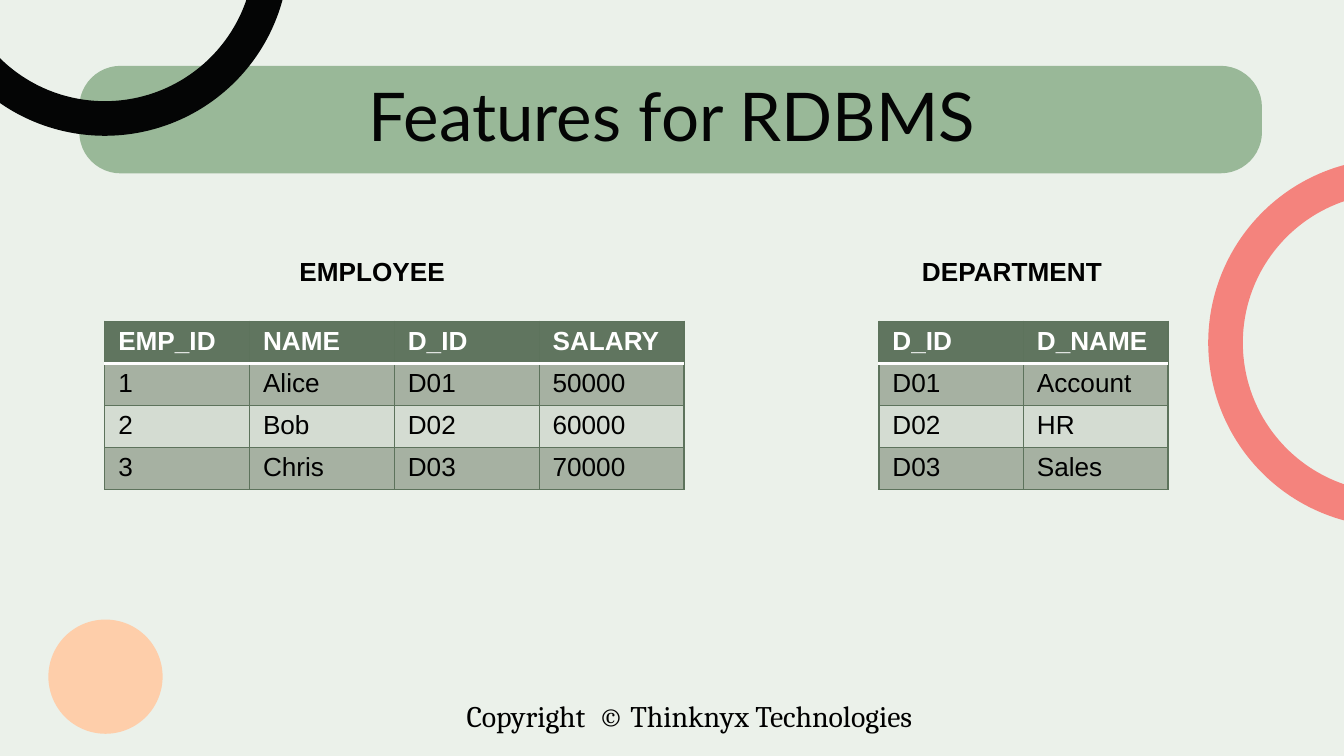
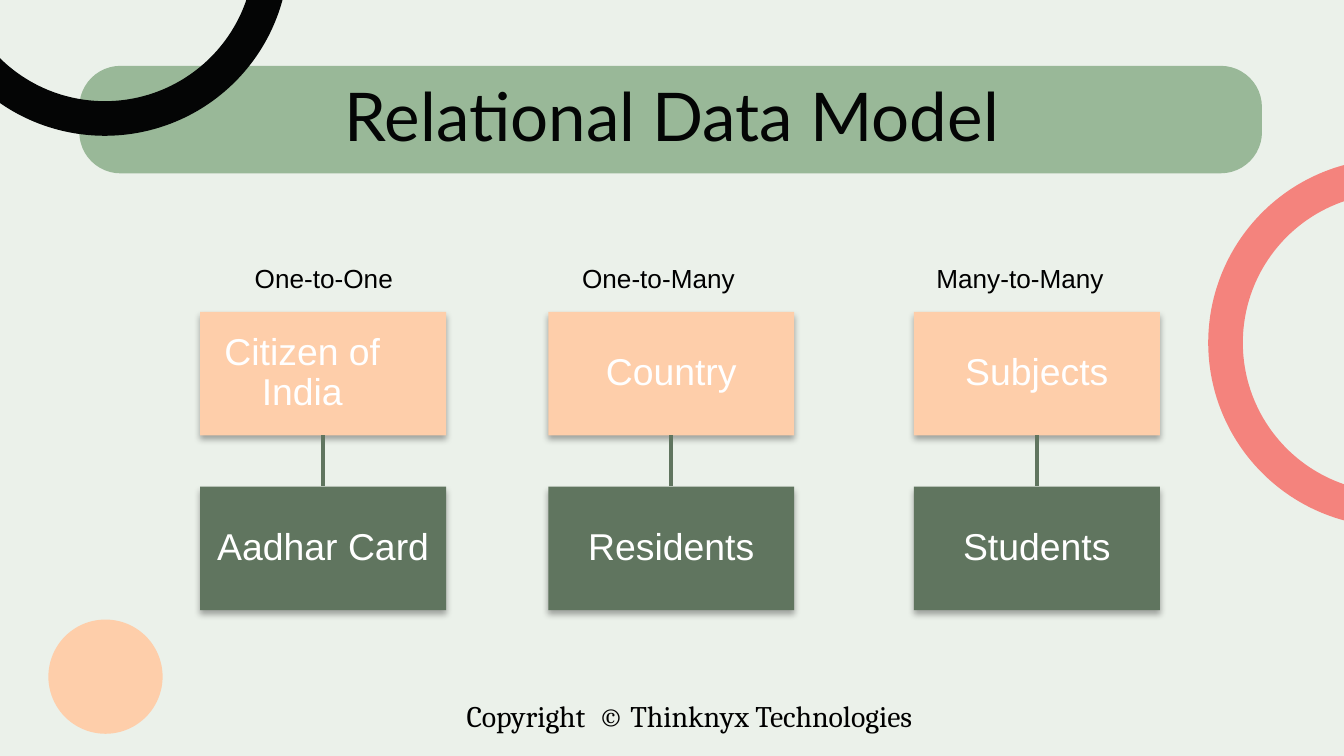
from lxml.etree import SubElement
from pptx import Presentation
from pptx.dml.color import RGBColor
from pptx.enum.shapes import MSO_CONNECTOR, MSO_SHAPE
from pptx.enum.text import MSO_ANCHOR, MSO_AUTO_SIZE, PP_ALIGN
from pptx.oxml import parse_xml
from pptx.oxml.ns import nsdecls, qn
from pptx.util import Inches, Pt

COLORS = {
    "background": "EBF1EA",
    "band": "99B898",
    "peach": "FECEAA",
    "coral": "F4837D",
    "ink": "040505",
    "black": "000000",
    "white": "FFFFFF",
    "green": "60755F",
    "border": "5D735C",
    "row_dark": "A6B1A2",
    "row_light": "D4DCD2",
}

COPYRIGHT = "Copyright  © Thinknyx Technologies"

TABLES = [
    {
        "caption": "EMPLOYEE", "caption_left": 1.44, "left": 0.78, "width": 4.31,
        "rows": [
            ("EMP_ID", "NAME", "D_ID", "SALARY"),
            ("1", "Alice", "D01", "50000"),
            ("2", "Bob", "D02", "60000"),
            ("3", "Chris", "D03", "70000"),
        ],
    },
    {
        "caption": "DEPARTMENT", "caption_left": 6.2, "left": 6.54, "width": 2.15,
        "rows": [
            ("D_ID", "D_NAME"),
            ("D01", "Account"),
            ("D02", "HR"),
            ("D03", "Sales"),
        ],
    },
]

RELATIONS = [
    {"caption": "One-to-One", "caption_left": 1.61, "left": 1.49,
     "entities": ("Citizen of India", "Aadhar Card"), "right_insets": (0.32, 0.01)},
    {"caption": "One-to-Many", "caption_left": 4.1, "left": 4.08,
     "entities": ("Country", "Residents"), "right_insets": (0.01, 0.01)},
    {"caption": "Many-to-Many", "caption_left": 6.79, "left": 6.8,
     "entities": ("Subjects", "Students"), "right_insets": (0.01, 0.01)},
]

TABLE_TOP, TABLE_HEIGHT = 2.39, 1.33
HEADER_HEIGHT, ROW_HEIGHT = 0.26, 0.27
ENTITY_WIDTH, ENTITY_HEIGHT = 1.83, 0.92
ENTITY_TOP, ENTITY_STEP = 2.32, 1.3
RING_SIZE = 2.74


def rgb(color):
    return RGBColor.from_string(COLORS[color])


def style(paragraph, size, color, font="Arial", bold=False):
    for run in paragraph.runs:
        run.font.name = font
        run.font.size = Pt(size)
        run.font.bold = bold
        run.font.color.rgb = rgb(color)


def add_shape(slide, preset, left, top, width, height, color):
    shape = slide.shapes.add_shape(
        preset, Inches(left), Inches(top), Inches(width), Inches(height))
    shape.shadow.inherit = False
    shape.fill.solid()
    shape.fill.fore_color.rgb = rgb(color)
    shape.line.fill.background()
    return shape


def add_label(slide, text, left, top, width, height, size=14,
              font="Arial", bold=False, wrap=True):
    label = slide.shapes.add_textbox(
        Inches(left), Inches(top), Inches(width), Inches(height))
    frame = label.text_frame
    frame.word_wrap = wrap
    frame.auto_size = MSO_AUTO_SIZE.SHAPE_TO_FIT_TEXT
    frame.text = text
    paragraph = frame.paragraphs[0]
    paragraph.alignment = PP_ALIGN.CENTER
    style(paragraph, size, "black", font, bold)


def add_ring(slide, left, top, rotation, color):
    ring = add_shape(slide, MSO_SHAPE.BLOCK_ARC, left, top, RING_SIZE, RING_SIZE, color)
    ring.rotation = rotation
    for index, value in enumerate((108, 0.442, 0.094)):
        ring.adjustments[index] = value


def add_framed_slide(deck, title_text):
    slide = deck.slides.add_slide(deck.slide_layouts[5])
    slide.background.fill.solid()
    slide.background.fill.fore_color.rgb = rgb("background")
    add_label(slide, COPYRIGHT, 3.14, 5.14, 3.98, 0.37, 16, "Cambria", wrap=False)
    band = add_shape(slide, MSO_SHAPE.ROUNDED_RECTANGLE, 0.59, 0.49, 8.8, 0.8, "band")
    band.adjustments[0] = 0.384
    add_shape(slide, MSO_SHAPE.OVAL, 0.36, 4.61, 0.85, 0.85, "peach")
    add_ring(slide, 8.99, 1.18, 270, "coral")
    add_ring(slide, -0.59, -1.73, 180, "ink")

    title = slide.shapes.title
    slide.shapes._spTree.append(title._element)
    title.left, title.top = Inches(0.78), Inches(0.67)
    title.width, title.height = Inches(8.44), Inches(0.47)
    frame = title.text_frame
    frame.text = title_text
    frame.auto_size = MSO_AUTO_SIZE.NONE
    frame.vertical_anchor = MSO_ANCHOR.TOP
    frame.margin_left = frame.margin_right = 0
    frame.margin_top = frame.margin_bottom = 0
    paragraph = frame.paragraphs[0]
    paragraph.alignment = PP_ALIGN.CENTER
    paragraph.line_spacing = 0.8
    style(paragraph, 36, "ink", "Lato")
    return slide


def set_borders(cell, row):
    edges = {edge: ("border", 0.75) for edge in ("lnL", "lnR", "lnT", "lnB")}
    if row == 0:
        edges["lnB"] = ("white", 2)
    if row == 1:
        edges["lnT"] = ("white", 2)
    properties = cell._tc.get_or_add_tcPr()
    for edge, (color, width) in edges.items():
        border = SubElement(properties, qn(f"a:{edge}"), w=str(Pt(width)))
        fill = SubElement(border, qn("a:solidFill"))
        SubElement(fill, qn("a:srgbClr"), val=COLORS[color])


def add_data_table(slide, data):
    rows = data["rows"]
    add_label(slide, data["caption"], data["caption_left"], 1.85, 2.66, 0.34, bold=True)
    holder = slide.shapes.add_table(
        len(rows), len(rows[0]), Inches(data["left"]), Inches(TABLE_TOP),
        Inches(data["width"]), Inches(TABLE_HEIGHT))
    table = holder.table
    for row, values in enumerate(rows):
        header = row == 0
        row_color = "green" if header else ("row_light", "row_dark")[row % 2]
        table.rows[row].height = Inches(HEADER_HEIGHT if header else ROW_HEIGHT)
        for column, value in enumerate(values):
            cell = table.cell(row, column)
            set_borders(cell, row)
            cell.fill.solid()
            cell.fill.fore_color.rgb = rgb(row_color)
            cell.margin_top = cell.margin_bottom = Inches(0.04)
            cell.text_frame.text = value
            style(cell.text_frame.paragraphs[0], 14,
                  "white" if header else "black", bold=header)
    holder.height = Inches(TABLE_HEIGHT)


def add_entity(slide, text, left, top, color, right_inset):
    entity = add_shape(slide, MSO_SHAPE.RECTANGLE, left, top,
                       ENTITY_WIDTH, ENTITY_HEIGHT, color)
    effects = entity._element.spPr.find(qn("a:effectLst"))
    effects.append(parse_xml(
        f'<a:outerShdw {nsdecls("a")} blurRad="{Pt(3.5)}" dist="{Pt(2.2)}" '
        f'dir="5400000" rotWithShape="0"><a:srgbClr val="{COLORS["black"]}">'
        '<a:alpha val="32000"/></a:srgbClr></a:outerShdw>'))
    frame = entity.text_frame
    frame.word_wrap = True
    frame.vertical_anchor = MSO_ANCHOR.MIDDLE
    frame.margin_left = frame.margin_top = frame.margin_bottom = Inches(0.01)
    frame.margin_right = Inches(right_inset)
    frame.text = text
    paragraph = frame.paragraphs[0]
    paragraph.alignment = PP_ALIGN.CENTER
    paragraph.line_spacing = 0.9
    style(paragraph, 20, "white")
    return entity


def add_relation(slide, relation):
    parent, child = [
        add_entity(slide, text, relation["left"], ENTITY_TOP + level * ENTITY_STEP,
                   ("peach", "green")[level], relation["right_insets"][level])
        for level, text in enumerate(relation["entities"])
    ]
    link = slide.shapes.add_connector(MSO_CONNECTOR.STRAIGHT, 0, 0, 0, 0)
    link.begin_connect(parent, 2)
    link.end_connect(child, 0)
    link.line.color.rgb = rgb("green")
    link.line.width = Pt(2)
    SubElement(link._element.spPr, qn("a:effectLst"))
    add_label(slide, relation["caption"], relation["caption_left"], 1.9, 1.6, 0.34)


def main():
    deck = Presentation()
    deck.slide_width = Inches(10)
    deck.slide_height = deck.slide_width * 9 // 16

    features = add_framed_slide(deck, "Features for RDBMS")
    for data in TABLES:
        add_data_table(features, data)

    model = add_framed_slide(deck, "Relational Data Model")
    for relation in RELATIONS:
        add_relation(model, relation)

    deck.save("out.pptx")


if __name__ == "__main__":
    main()
